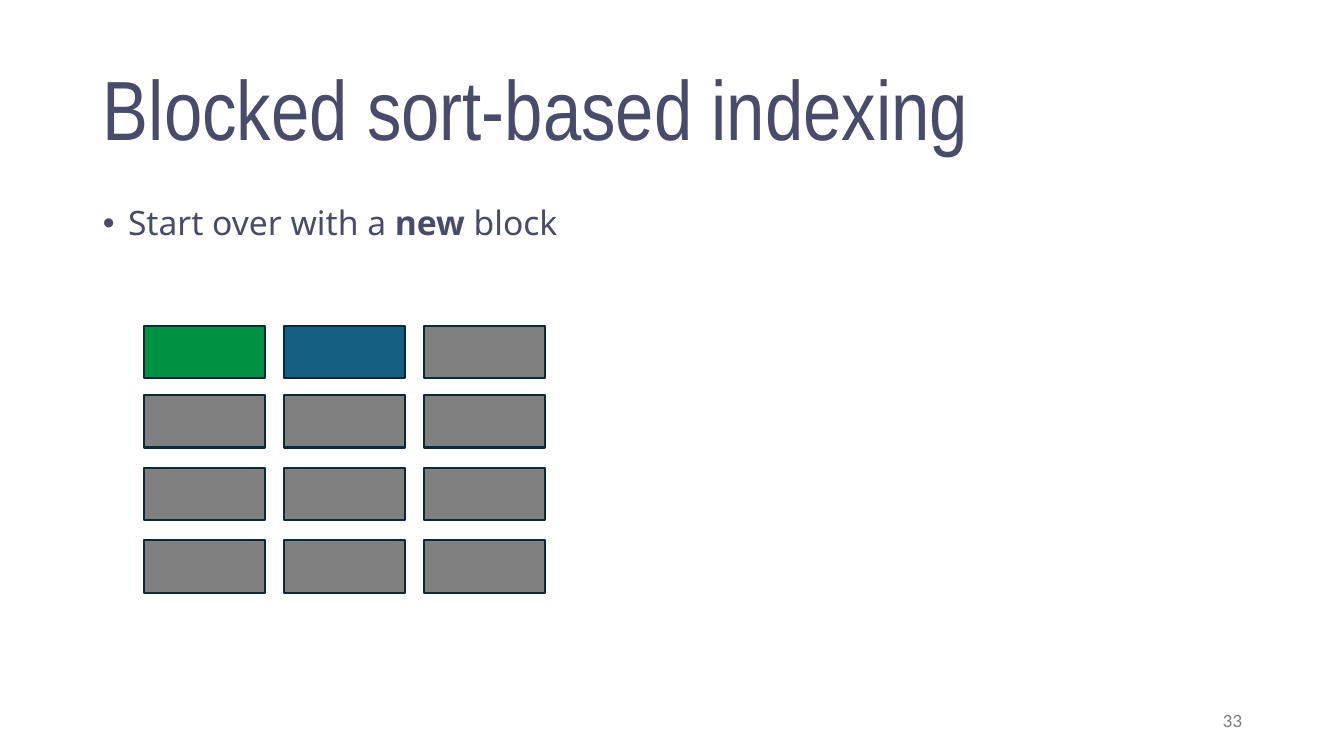
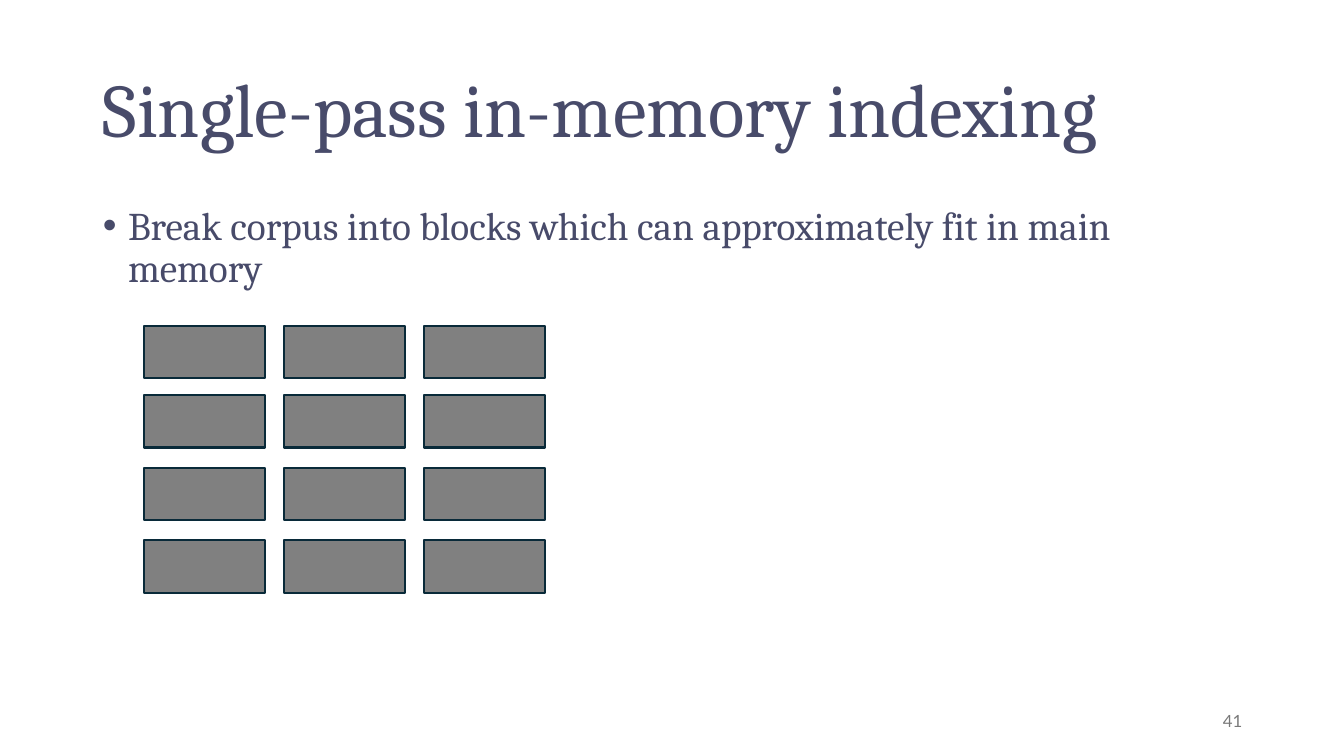
from pptx import Presentation
from pptx import util as u
from pptx.dml.color import RGBColor
from pptx.enum import shapes, text
from pptx.oxml.ns import qn
from lxml import etree

INK = RGBColor(0x48, 0x4B, 0x6A)
GRAY = RGBColor(0x80, 0x80, 0x80)
GREEN = RGBColor(0x00, 0x92, 0x42)
BLUE = RGBColor(0x15, 0x60, 0x82)
OUTLINE = RGBColor(0x09, 0x2A, 0x39)
NUMBER = RGBColor(0x79, 0x79, 0x79)

COLUMNS = [1.43 + 1.39 * i for i in range(3)]
ROWS = [3.23] + [3.92 + 0.72 * i for i in range(3)]

SLIDES = [
    dict(title="Blocked sort-based indexing", title_font="Arial Narrow", title_size=60,
         body=[("Start over with a ", False), ("new ", True), ("block", False)],
         body_font="Noto Sans", body_size=24,
         fills={(0, 0): GREEN, (0, 1): BLUE}, number="33"),
    dict(title="Single-pass in-memory indexing", title_font="Cambria", title_size=54,
         body=[("Break corpus into blocks which can approximately fit in main memory", False)],
         body_font="Cambria", body_size=28, fills={}, number="41"),
]


def set_text(sp, runs, box, font, size, color=INK, align=text.PP_ALIGN.LEFT,
             anchor=text.MSO_ANCHOR.MIDDLE, spacing=0.9, before=0):
    """Place sp at box and fill its one paragraph with (words, bold) runs."""
    sp.left, sp.top, sp.width, sp.height = [u.Inches(v) for v in box]
    tf = sp.text_frame
    tf.word_wrap = True
    tf.auto_size = text.MSO_AUTO_SIZE.NONE
    tf.vertical_anchor = anchor
    p = tf.paragraphs[0]
    p.alignment = align
    p.line_spacing = spacing
    p.space_before = u.Pt(before)
    for words, bold in runs:
        r = p.add_run()
        r.text = words
        r.font.name = font
        r.font.size = u.Pt(size)
        r.font.bold = bold
        r.font.color.rgb = color
    return p


prs = Presentation()
prs.slide_width, prs.slide_height = u.Inches(13.33), u.Inches(7.5)

for spec_row in SLIDES:
    s = prs.slides.add_slide(prs.slide_layouts[1])
    set_text(s.shapes.title, [(spec_row["title"], False)], (0.92, 0.4, 11.5, 1.45),
             spec_row["title_font"], spec_row["title_size"])

    p = set_text(s.placeholders[1], spec_row["body"], (0.92, 2, 11.5, 5.3),
                 spec_row["body_font"], spec_row["body_size"],
                 anchor=text.MSO_ANCHOR.TOP, before=10)
    pPr = p._p.get_or_add_pPr()
    pPr.set("marL", str(u.Inches(0.25)))
    pPr.set("indent", str(-u.Inches(0.25)))
    etree.SubElement(pPr, qn("a:buFont")).set("typeface", "Arial")
    etree.SubElement(pPr, qn("a:buChar")).set("char", "•")

    for col, x in enumerate(COLUMNS):
        for row, y in enumerate(ROWS):
            block = s.shapes.add_shape(shapes.MSO_SHAPE.RECTANGLE, u.Inches(x), u.Inches(y),
                                       u.Inches(1.2), u.Inches(0.52))
            block.shadow.inherit = False
            block.fill.solid()
            block.fill.fore_color.rgb = spec_row["fills"].get((row, col), GRAY)
            block.line.color.rgb = OUTLINE
            block.line.width = u.Pt(1.5)

    set_text(s.shapes.add_textbox(0, 0, 0, 0), [(spec_row["number"], False)],
             (9.42, 6.95, 3, 0.4), "Lato", 12, color=NUMBER,
             align=text.PP_ALIGN.RIGHT, spacing=1.0)

prs.save("out.pptx")
